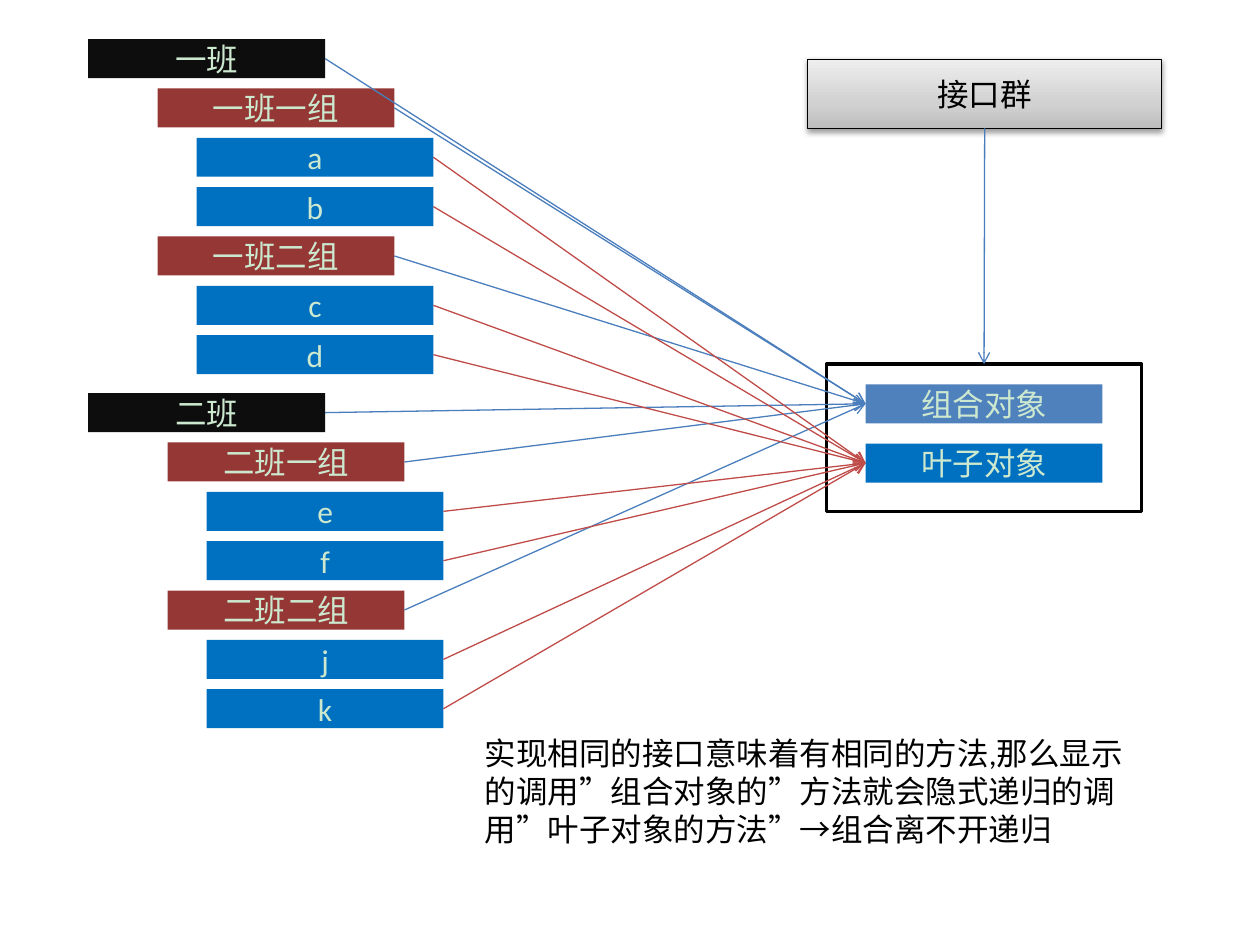
from copy import deepcopy
from lxml import etree
from pptx import Presentation
from pptx.dml.color import RGBColor
from pptx.enum.shapes import MSO_CONNECTOR, MSO_SHAPE
from pptx.enum.text import MSO_ANCHOR, MSO_AUTO_SIZE, PP_ALIGN
from pptx.oxml.ns import qn
from pptx.util import Inches, Pt

WHITE = RGBColor(0xFF, 0xFF, 0xFF)
BLACK = RGBColor(0x00, 0x00, 0x00)
COAL = RGBColor(0x0D, 0x0D, 0x0D)
MINT = RGBColor(0xCC, 0xE8, 0xCF)
BRICK = RGBColor(0x95, 0x37, 0x35)
BLUE = RGBColor(0x00, 0x70, 0xC0)
STEEL = RGBColor(0x4F, 0x81, 0xBD)
NAVY = RGBColor(0x4B, 0x7E, 0xBC)
RED = RGBColor(0xBF, 0x4C, 0x48)
GREYS = [(0, RGBColor(0xBD, 0xBD, 0xBD)), (0.35, RGBColor(0xD1, 0xD1, 0xD1)),
         (1, RGBColor(0xEE, 0xEE, 0xEE))]

BAR_W, BAR_H = 1.88, 0.31
TOP, LEFT, BOTTOM, RIGHT = range(4)
FONT = {"name": "Calibri", "size": Pt(18)}
CLASSES = [
    ((0.7, 0.31, 2.74, 2.66), 0.55, "一班",
     [("一班一组", "ab"), ("一班二组", "cd")]),
    ((0.7, 3.12, 2.82, 2.66), 0.63, "二班",
     [("二班一组", "ef"), ("二班二组", "jk")]),
]
NOTE = ("实现相同的接口意味着有相同的方法,那么显示的调用”组合对象的”方法"
        "就会隐式递归的调用”叶子对象的方法”→组合离不开递归")


def style(item, values):
    """Set each named value on the item."""
    for name, value in values.items():
        setattr(item, name, value)


def write(shape, text, color, align):
    """Put one styled paragraph in the shape."""
    shape.text_frame.text = text
    para = shape.text_frame.paragraphs[0]
    para.alignment = align
    style(para.runs[0].font, FONT)
    para.runs[0].font.color.rgb = color


def block(slide, box, fill, text="", color=MINT):
    """Add a plain rectangle with centred text."""
    shape = slide.shapes.add_shape(MSO_SHAPE.RECTANGLE, *map(Inches, box))
    shape.shadow.inherit = False
    shape.fill.solid()
    shape.fill.fore_color.rgb = fill
    shape.line.fill.background()
    if text:
        shape.text_frame.vertical_anchor = MSO_ANCHOR.MIDDLE
        write(shape, text, color, PP_ALIGN.CENTER)
    return shape


def edge(shape, width):
    """Give the shape a black outline."""
    shape.line.color.rgb = BLACK
    shape.line.width = Pt(width)


def arrow(slide, start, side, end, goal, color):
    """Join two shapes with an open arrow."""
    link = slide.shapes.add_connector(MSO_CONNECTOR.STRAIGHT, 0, 0, 0, 0)
    link.begin_connect(start, side)
    link.end_connect(end, goal)
    link.line.color.rgb = color
    link.line.width = Pt(0.75)
    props = link._element.spPr
    etree.SubElement(props.find(qn("a:ln")), qn("a:tailEnd"), type="arrow")
    etree.SubElement(props, qn("a:effectLst"))


def tree(slide, box, indent, title, groups):
    """Stack one class with its groups and leaves, and return both kinds."""
    left, top, width, height = box
    rows = [(left, COAL, title)]
    for name, leaves in groups:
        rows.append((left + indent, BRICK, name))
        rows += [(left + width - BAR_W, BLUE, leaf) for leaf in leaves]
    step = (height - BAR_H) / (len(rows) - 1)
    nodes, ends = [], []
    for row, (x, fill, text) in enumerate(rows):
        bar = block(slide, (x, top + row * step, BAR_W, BAR_H), fill, text)
        (ends if fill == BLUE else nodes).append(bar)
    return nodes, ends


def frame(slide, box):
    """Draw the framed pair of object kinds."""
    left, top, width, height = box
    outer = block(slide, box, WHITE)
    edge(outer, 2)
    x = left + (width - BAR_W) / 2
    kinds = [(0.16, STEEL, "组合对象"), (0.63, BLUE, "叶子对象")]
    return outer, [block(slide, (x, top + down, BAR_W, BAR_H), fill, text)
                   for down, fill, text in kinds]


def header(slide, box):
    """Draw the shaded interface box."""
    shape = block(slide, box, WHITE, "接口群", BLACK)
    edge(shape, 0.75)
    shape.fill.gradient()
    shape.fill.gradient_angle = 90
    stops = shape._element.spPr.find(qn("a:gradFill")).find(qn("a:gsLst"))
    stops.append(deepcopy(stops[-1]))
    for stop, (place, color) in zip(shape.fill.gradient_stops, GREYS):
        stop.position = place
        stop.color.rgb = color
    effect = shape._element.spPr.find(qn("a:effectLst"))
    shade = etree.SubElement(effect, qn("a:outerShdw"), blurRad="40000",
                             dist="20000", dir="5400000", rotWithShape="0")
    tint = etree.SubElement(shade, qn("a:srgbClr"), val="000000")
    etree.SubElement(tint, qn("a:alpha"), val="38000")
    return shape


def note(slide, box):
    """Add the closing remark."""
    shape = slide.shapes.add_textbox(*map(Inches, box))
    style(shape.text_frame, {"word_wrap": True,
                             "auto_size": MSO_AUTO_SIZE.SHAPE_TO_FIT_TEXT})
    write(shape, NOTE, BLACK, PP_ALIGN.LEFT)


def main():
    """Build and save the slide."""
    deck = Presentation()
    style(deck, {"slide_width": Inches(10), "slide_height": Inches(7.5)})
    slide = deck.slides.add_slide(deck.slide_layouts[6])
    outer, goals = frame(slide, (6.56, 2.89, 2.5, 1.17))
    trees = [tree(slide, *args) for args in CLASSES]
    face = header(slide, (6.41, 0.47, 2.81, 0.55))
    arrow(slide, face, BOTTOM, outer, TOP, NAVY)
    for goal, color, kind in zip(goals, (NAVY, RED), zip(*trees)):
        for bar in sum(kind, []):
            arrow(slide, bar, RIGHT, goal, LEFT, color)
    note(slide, (3.75, 5.78, 5.47, 1.01))
    deck.save("out.pptx")


main()
